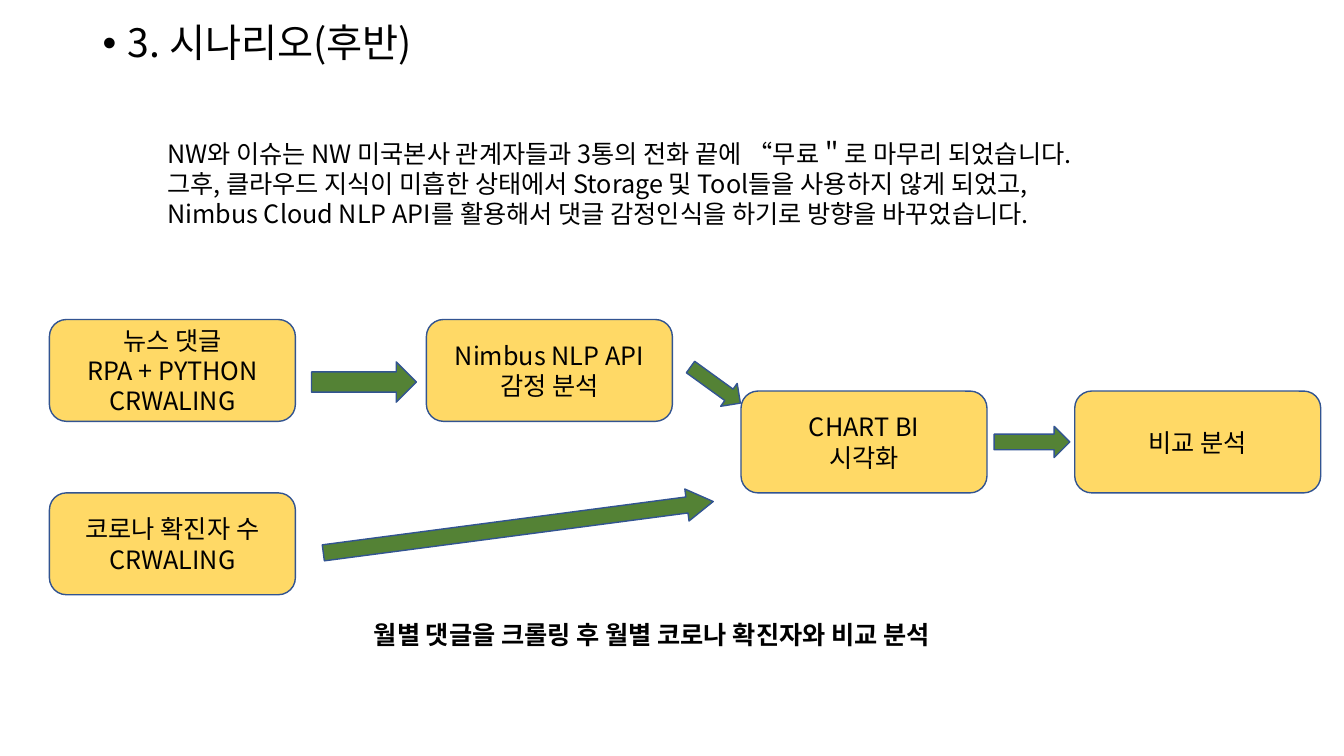
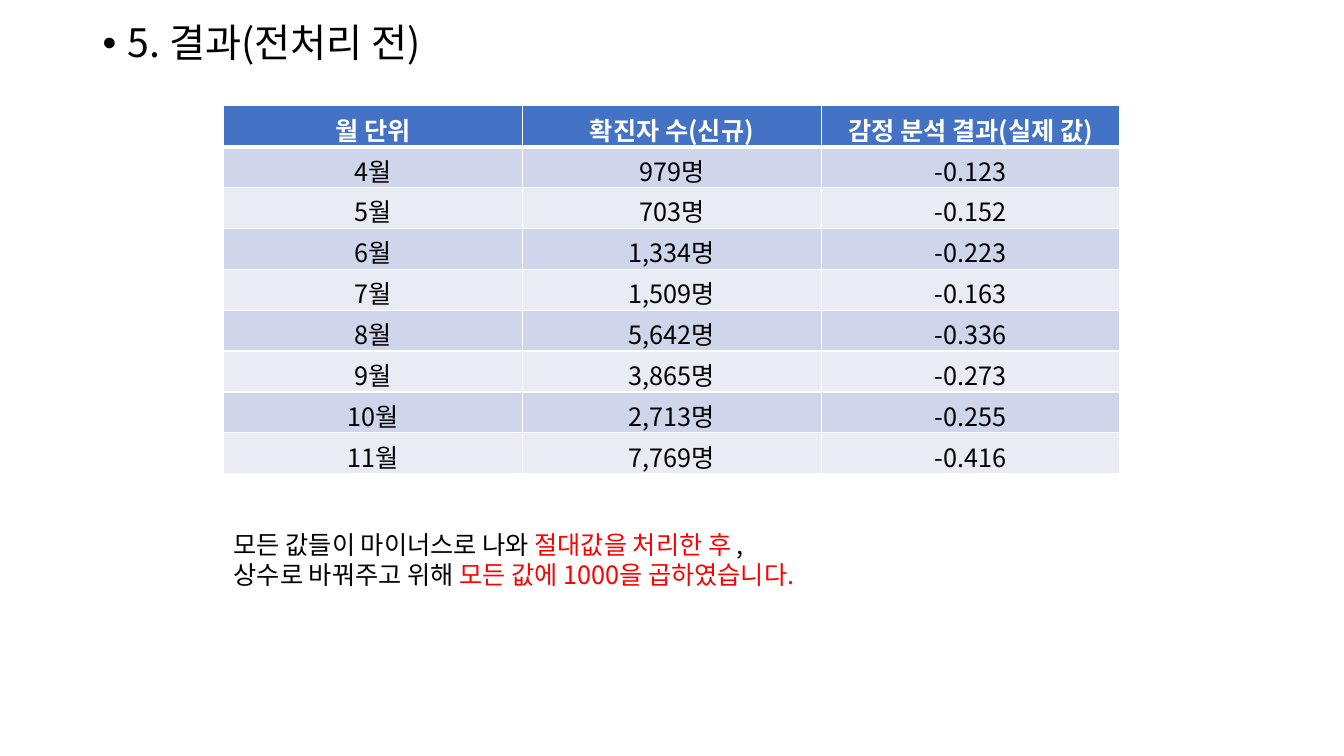
from dataclasses import dataclass

from lxml.etree import SubElement
from pptx import Presentation
from pptx.dml.color import RGBColor
from pptx.enum.shapes import MSO_SHAPE
from pptx.enum.text import MSO_ANCHOR, PP_ALIGN
from pptx.oxml.ns import qn
from pptx.util import Inches, Pt


@dataclass(frozen=True)
class Theme:
    font: str = "Noto Sans CJK KR"
    head: int = 28
    body: int = 18
    ink: str = "000000"
    white: str = "FFFFFF"
    red: str = "FF0000"
    gold: str = "FFD966"
    green: str = "548235"
    edge: str = "325491"
    blue: str = "4472C4"
    bands: tuple = ("E9EBF5", "CFD5EA")


theme = Theme()
deck = Presentation()
deck.slide_width, deck.slide_height = Inches(13.33), Inches(7.5)
blank = deck.slide_layouts[6]


def area(left, top, wide, high):
    """Turn percentages of the slide into a position and a size."""
    col, row = deck.slide_width / 100, deck.slide_height / 100
    return [round(n) for n in (left * col, top * row, wide * col, high * row)]


def write(frame, lines, size=theme.body, tint=theme.ink, bold=False, **form):
    """Fill a frame; a line is a string or a list of (text, colour) runs."""
    frame.word_wrap = True
    for i, line in enumerate(lines):
        para = frame.paragraphs[0] if i == 0 else frame.add_paragraph()
        for key, value in form.items():
            setattr(para, key, value)
        for text, hue in [(line, tint)] if isinstance(line, str) else line:
            run = para.add_run()
            run.text = text
            run.font.color.rgb = RGBColor.from_string(hue)
            look = {"size": Pt(size), "bold": bold, "name": theme.font}
            for key, value in look.items():
                setattr(run.font, key, value)
            SubElement(run.font._element, qn("a:ea"), typeface=theme.font)


# Slides and their bulleted titles
slides = []
for title in ("3. 시나리오(후반)", "5. 결과(전처리 전)"):
    slide = deck.slides.add_slide(blank)
    frame = slide.shapes.add_textbox(*area(6.9, 2.53, 86.27, 92.27)).text_frame
    write(frame, [title], theme.head, line_spacing=0.9, space_before=Pt(10))
    props = frame.paragraphs[0]._p.get_or_add_pPr()
    props.set("marL", str(Inches(0.25)))
    props.set("indent", str(Inches(-0.25)))
    SubElement(props, qn("a:buFont"), typeface="Arial")
    SubElement(props, qn("a:buChar"), char="•")
    slides.append(slide)
flow, result = slides

# Plain text on both slides
notes = [
    (flow, (11.7, 17.6, 83.05, 13.47), False, [
        "NW와 이슈는 NW 미국본사 관계자들과 3통의 전화 끝에 “무료＂로 마무리 되었습니다.",
        "그후, 클라우드 지식이 미흡한 상태에서 Storage 및 Tool들을 사용하지 않게 되었고,",
        "Nimbus Cloud NLP API를 활용해서 댓글 감정인식을 하기로 방향을 바꾸었습니다.",
    ]),
    (flow, (27.08, 81.2, 50.04, 5.33), True,
     ["월별 댓글을 크롤링 후 월별 코로나 확진자와 비교 분석"]),
    (result, (16.65, 69.33, 83.35, 9.47), False, [
        [("모든 값들이 마이너스로 나와 ", theme.ink),
         ("절대값을 처리한 후 ", theme.red), (",", theme.ink)],
        [("상수로 바꿔주고 위해 ", theme.ink),
         ("모든 값에 1000을 곱하였습니다.", theme.red)],
    ]),
]
for slide, place, bold, lines in notes:
    box = slide.shapes.add_textbox(*area(*place))
    write(box.text_frame, lines, bold=bold)

# Flow of steps: boxes of one size, then block arrows
cols = (3.68, 31.73, 55.14, 79.97)
rows = (42.27, 51.73, 65.2)
steps = [
    (0, 0, ["뉴스 댓글", "RPA + PYTHON", "CRWALING"]),
    (1, 0, ["Nimbus NLP API", "감정 분석"]),
    (2, 1, ["CHART BI", "시각화"]),
    (0, 2, ["코로나 확진자 수", "CRWALING"]),
    (3, 1, ["비교 분석"]),
]
arrows = [
    ((23.18, 47.87, 7.8, 5.33), 0, 0.5),
    ((73.97, 56.4, 5.63, 4.13), 0, 0.5),
    ((50.94, 49.07, 4.58, 3.73), 35.9, 0.5),
    ((23.93, 67.6, 29.26, 4.27), 352.5, 0.82),
]
parts = [(MSO_SHAPE.ROUNDED_RECTANGLE, (cols[c], rows[r], 18.3, 13.47),
          theme.gold, 0, None, lines) for c, r, lines in steps]
parts += [(MSO_SHAPE.RIGHT_ARROW, place, theme.green, turn, tip, [])
          for place, turn, tip in arrows]
for kind, place, fill, turn, tip, lines in parts:
    shape = flow.shapes.add_shape(kind, *area(*place))
    shape.shadow.inherit = False
    shape.rotation = turn
    shape.fill.solid()
    shape.fill.fore_color.rgb = RGBColor.from_string(fill)
    shape.line.color.rgb = RGBColor.from_string(theme.edge)
    shape.line.width = Pt(1)
    if tip:
        shape.adjustments[1] = tip
    shape.text_frame.vertical_anchor = MSO_ANCHOR.MIDDLE
    write(shape.text_frame, lines, alignment=PP_ALIGN.CENTER)

# Table of monthly results
data = [
    ("월 단위", "확진자 수(신규)", "감정 분석 결과(실제 값)"),
    ("4월", "979명", "-0.123"),
    ("5월", "703명", "-0.152"),
    ("6월", "1,334명", "-0.223"),
    ("7월", "1,509명", "-0.163"),
    ("8월", "5,642명", "-0.336"),
    ("9월", "3,865명", "-0.273"),
    ("10월", "2,713명", "-0.255"),
    ("11월", "7,769명", "-0.416"),
]
table = result.shapes.add_table(
    len(data), len(data[0]), *area(16.65, 14, 66.69, 48.67)).table
table.first_row = table.horz_banding = False
for r, values in enumerate(data):
    top = r == 0
    for c, value in enumerate(values):
        cell = table.cell(r, c)
        props = cell._tc.get_or_add_tcPr()
        for side in "LRTB":
            thick = 3 if (side, r) in (("B", 0), ("T", 1)) else 1
            line = SubElement(props, qn(f"a:ln{side}"), w=str(Pt(thick)))
            paint = SubElement(line, qn("a:solidFill"))
            SubElement(paint, qn("a:srgbClr"), val=theme.white)
        cell.fill.solid()
        cell.fill.fore_color.rgb = RGBColor.from_string(
            theme.blue if top else theme.bands[r % 2])
        write(cell.text_frame, [value], bold=top, alignment=PP_ALIGN.CENTER,
              tint=theme.white if top else theme.ink)

deck.save("out.pptx")
